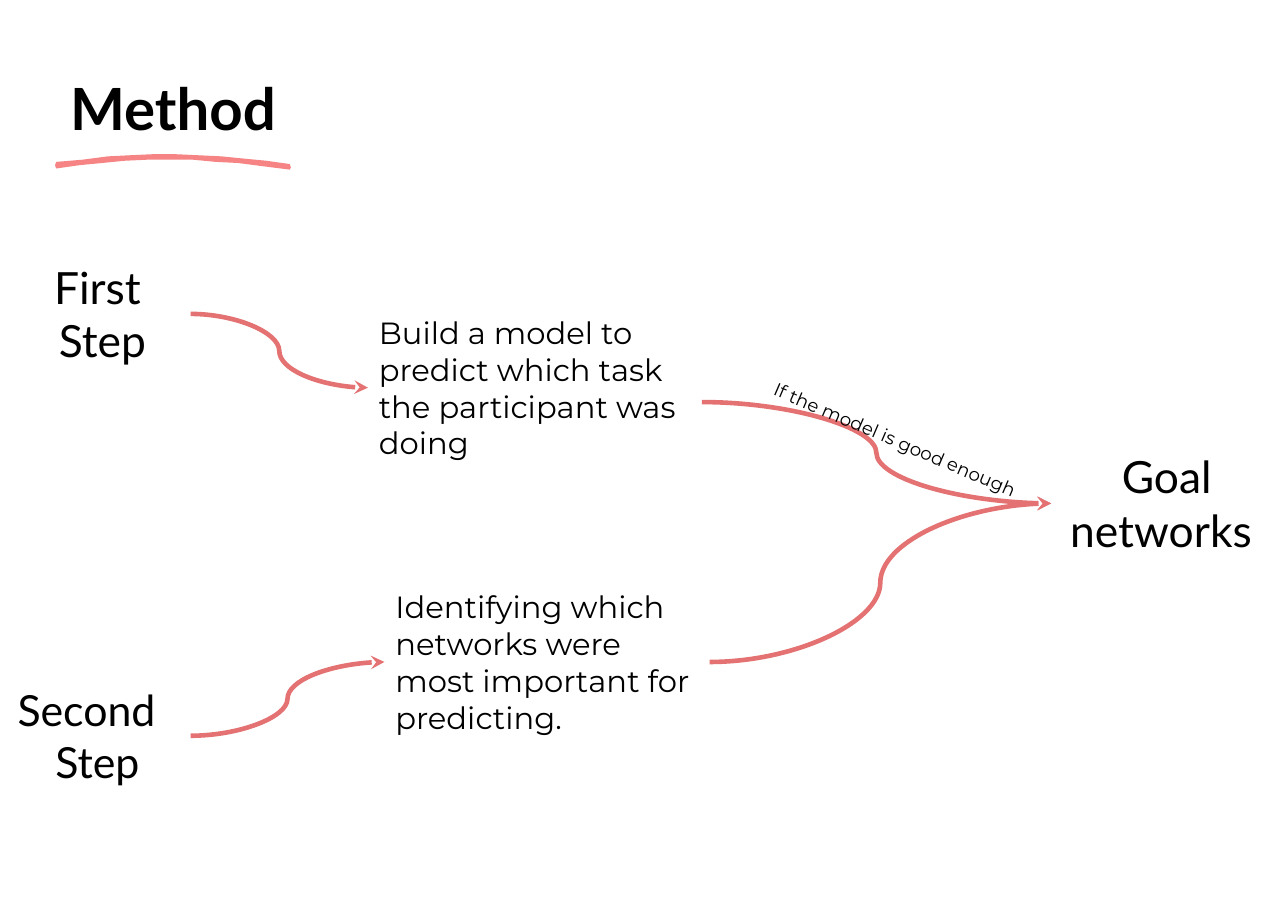
"""Build the Method slide: two steps leading by curved arrows to the goal networks."""
from lxml.etree import SubElement
from pptx import Presentation
from pptx.dml.color import RGBColor
from pptx.enum.shapes import MSO_CONNECTOR as Connector
from pptx.enum.text import MSO_ANCHOR as Anchor, MSO_AUTO_SIZE as AutoSize, PP_ALIGN as Align
from pptx.oxml.ns import qn
from pptx.util import Pt

PX = 9144
HEADING, BODY = "Lato", "Montserrat"


def color(code):
    return RGBColor.from_string(code)


def write(box, place, lines, font, size, align, bold=False):
    box.left, box.top, box.width, box.height = [value * PX for value in place]
    frame = box.text_frame
    frame.word_wrap = True
    frame.auto_size = AutoSize.NONE
    frame.vertical_anchor = Anchor.TOP
    frame.margin_left = frame.margin_right = frame.margin_top = frame.margin_bottom = 10 * PX
    for index, (text, indent) in enumerate(lines):
        para = frame.add_paragraph() if index else frame.paragraphs[0]
        para.alignment = align
        if indent:
            para._p.get_or_add_pPr().set("marL", str(indent * PX))
        span = para.add_run()
        span.text = text
        span.font.name, span.font.size, span.font.bold = font, Pt(size), bold
        span.font.color.rgb = color("000000")
    return frame


deck = Presentation()
deck.slide_width, deck.slide_height = 1169 * PX, 827 * PX
page = deck.slides.add_slide(deck.slide_layouts[5])
shapes = page.shapes

write(shapes.title, (0, 56, 314, 84), [("Method", 0)], HEADING, 38, Align.CENTER, True)

arrows = [
    (173, 285, 334, 352),
    (173, 668, 349, 601),
    (637, 365, 954, 457),
    (644, 601, 954, 457),
]
for ends in arrows:
    arrow = shapes.add_connector(Connector.CURVE, *[value * PX for value in ends])
    arrow.line.color.rgb = color("E47272")
    arrow.line.width = Pt(3)
    SubElement(arrow.line._get_or_add_ln(), qn("a:tailEnd"), type="stealth")
    SubElement(arrow._element.spPr, qn("a:effectLst"))

headings = [
    ((5, 226, 167, 118), [("First", 0), ("Step", 9)], 29, 10, 10),
    ((5, 611, 167, 114), [("Second", 0), ("Step", 20)], 28, 0, 20),
    ((954, 398, 210, 118), [("Goal networks ", 0)], 29, 10, 10),
]
for place, lines, size, left, right in headings:
    frame = write(shapes.add_textbox(0, 0, 0, 0), place, lines, HEADING, size, Align.CENTER)
    frame.margin_left, frame.margin_right = left * PX, right * PX

details = [
    ((334, 275, 296, 155), "Build a model to predict which task the participant was doing", 20, 0),
    ((349, 524, 296, 155), "Identifying which networks were most important for predicting.", 20, 0),
    ((684, 380, 262, 40), "If the model is good enough", 12, 23.2),
]
for place, text, size, angle in details:
    box = shapes.add_textbox(0, 0, 0, 0)
    write(box, place, [(text, 0)], BODY, size, Align.LEFT)
    box.rotation = angle

underline = [
    (139, 140), (118, 141), (98, 142), (75, 145), (51, 147), (50, 150), (51, 153),
    (72, 150), (93, 148), (113, 146), (134, 145), (155, 145), (175, 145), (196, 147),
    (216, 148), (239, 151), (263, 154), (264, 152), (263, 149), (242, 146), (221, 144),
    (201, 142), (180, 141), (159, 140),
]
builder = shapes.build_freeform(*underline[0], scale=PX)
builder.add_line_segments(underline[1:], close=True)
stroke = builder.convert_to_shape()
stroke.shadow.inherit = False
stroke.fill.solid()
stroke.fill.fore_color.rgb = color("F68484")
stroke.line.fill.background()

deck.save("out.pptx")
